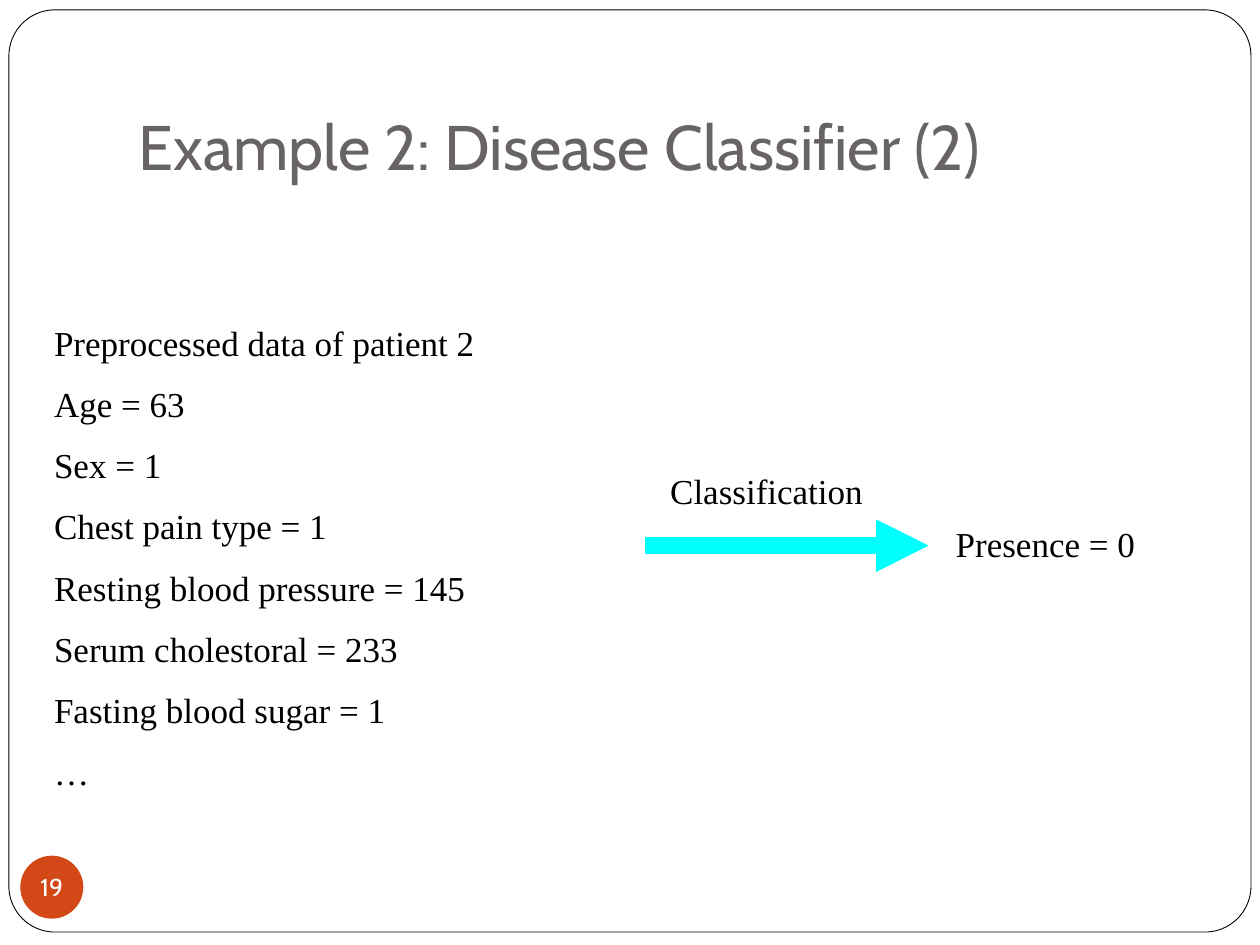
import pptx
import pptx.util
import pptx.dml.color
import pptx.enum.shapes
import pptx.enum.text
import pptx.oxml
import pptx.oxml.ns

Cm = pptx.util.Cm
Pt = pptx.util.Pt
SHAPE = pptx.enum.shapes.MSO_SHAPE
ALIGN = pptx.enum.text.PP_ALIGN
ANCHOR = pptx.enum.text.MSO_ANCHOR

BODY = {"name": "Times New Roman", "size": Pt(20)}
TITLE = {"name": "Cabin", "size": Pt(36)}
NUMBER = {"name": "Cabin", "size": Pt(14)}

PATIENT_DATA = [
    "Preprocessed data of patient 2",
    "Age = 63",
    "Sex = 1",
    "Chest pain type = 1",
    "Resting blood pressure = 145",
    "Serum cholestoral = 233",
    "Fasting blood sugar = 1",
    "…",
]


def rgb(value):
    return pptx.dml.color.RGBColor.from_string(value)


def set_attributes(target, values):
    for name, value in values.items():
        setattr(target, name, value)


def write(tf, lines, font, color, align=ALIGN.LEFT):
    for i, line in enumerate(lines):
        p = tf.add_paragraph() if i else tf.paragraphs[0]
        p.alignment = align
        if i:
            p.space_before = Pt(11)
        r = p.add_run()
        r.text = line
        set_attributes(r.font, font)
        r.font.color.rgb = rgb(color)


def add_text(s, box, lines, align=ALIGN.LEFT):
    sp = s.shapes.add_textbox(*map(Cm, box))
    sp.text_frame.word_wrap = True
    write(sp.text_frame, lines, BODY, "000000", align)


def add_shape(s, kind, box, fill):
    sp = s.shapes.add_shape(kind, *map(Cm, box))
    sp.shadow.inherit = False
    sp.fill.solid()
    sp.fill.fore_color.rgb = rgb(fill)
    return sp


def add_frame(s):
    sp = add_shape(s, SHAPE.ROUNDED_RECTANGLE, (0.18, 0.2, 25.04, 18.59), "FFFFFF")
    sp.adjustments[0] = 0.05
    sp.line.color.rgb = rgb("000000")
    sp.line.width = Pt(0.5)
    s.shapes.title._element.addprevious(sp._element)


def add_title(s, text):
    sp = s.shapes.title
    set_attributes(sp, {"left": Cm(2.54), "top": Cm(0.76),
                        "width": Cm(21.59), "height": Cm(3.18)})
    set_attributes(sp.text_frame, {"vertical_anchor": ANCHOR.BOTTOM,
                                   "margin_bottom": Cm(0.25)})
    write(sp.text_frame, [text], TITLE, "696464")


def add_arrow(s, ends, color, width):
    line = s.shapes.add_connector(
        pptx.enum.shapes.MSO_CONNECTOR.STRAIGHT, *map(Cm, ends))
    line.line.color.rgb = rgb(color)
    line.line.width = Pt(width)
    ns = pptx.oxml.ns.nsdecls("a")
    line.line._get_or_add_ln().append(
        pptx.oxml.parse_xml(f'<a:tailEnd {ns} type="triangle"/>'))
    line._element.spPr.append(pptx.oxml.parse_xml(f"<a:effectLst {ns}/>"))


def add_page_number(s, number):
    sp = add_shape(s, SHAPE.OVAL, (0.41, 17.25, 1.27, 1.27), "D34817")
    sp.line.fill.background()
    tf = sp.text_frame
    set_attributes(tf, {"margin_left": 0, "margin_right": 0, "margin_top": 0,
                        "margin_bottom": 0, "word_wrap": False,
                        "vertical_anchor": ANCHOR.MIDDLE})
    write(tf, [number], NUMBER, "FFFFFF", ALIGN.CENTER)


def main():
    prs = pptx.Presentation()
    prs.slide_width, prs.slide_height = Cm(25.4), Cm(19.05)
    s = prs.slides.add_slide(prs.slide_layouts[5])
    add_frame(s)
    add_title(s, "Example 2: Disease Classifier (2)")
    add_text(s, (0.84, 6.35, 12.07, 10.08), PATIENT_DATA)
    add_arrow(s, (13, 11, 18.72, 11), "00FFFF", 10)
    add_text(s, (13.13, 9.35, 4.65, 1.12), ["Classification"], ALIGN.CENTER)
    add_text(s, (18.85, 10.41, 4.45, 1.12), ["Presence = 0"], ALIGN.CENTER)
    add_page_number(s, "19")
    prs.save("out.pptx")


if __name__ == "__main__":
    main()
